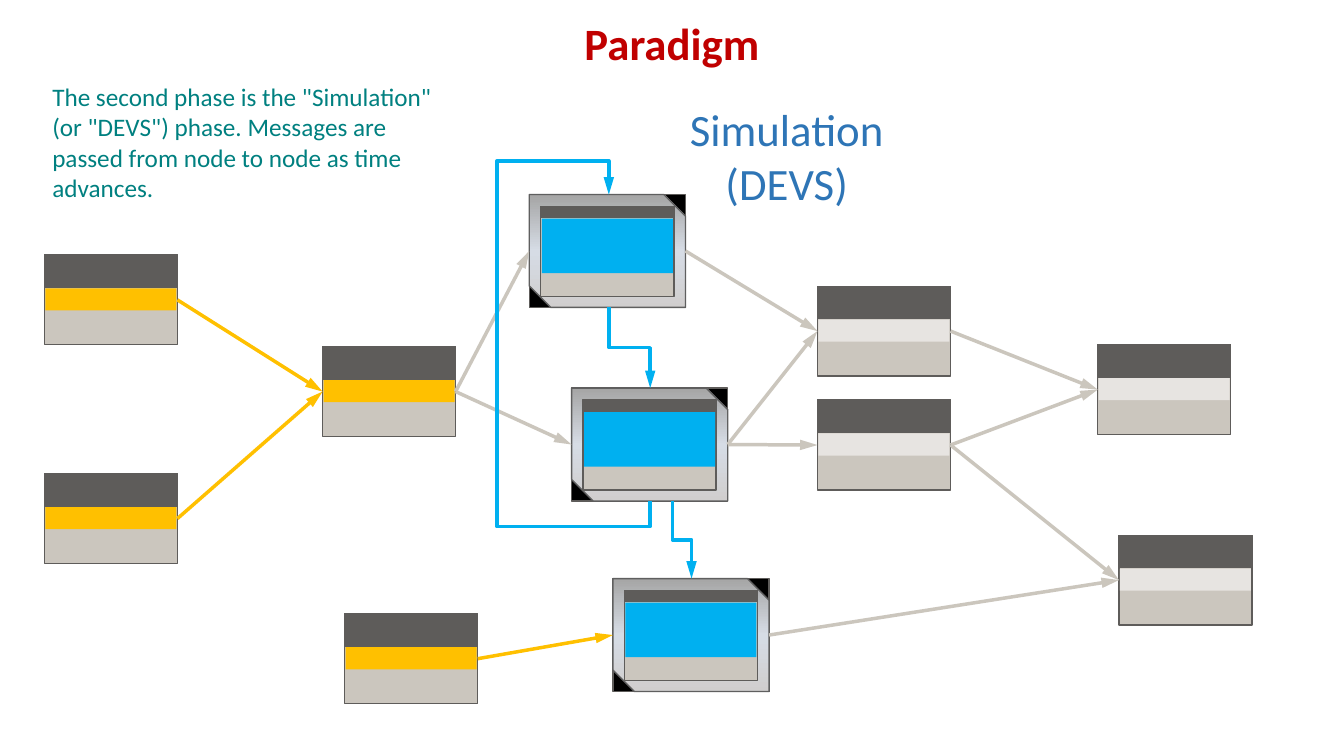
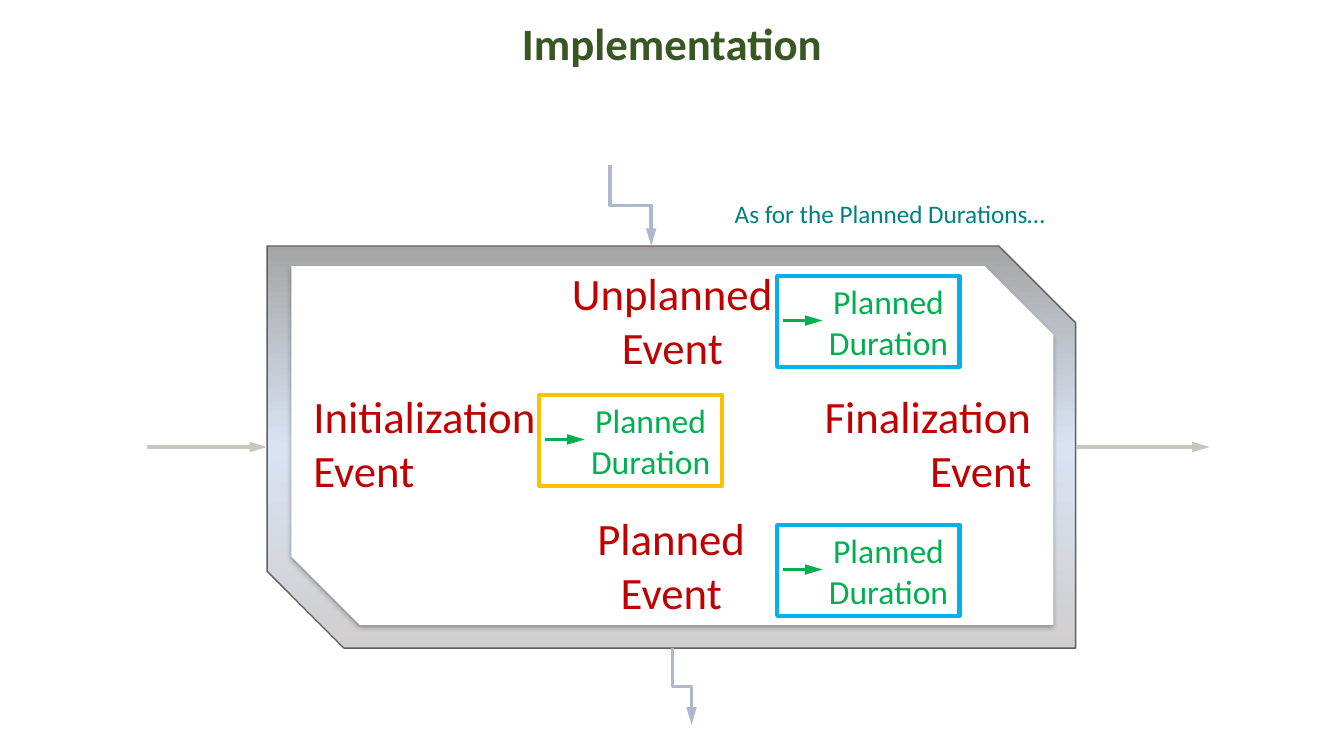
from copy import deepcopy

from lxml import etree
from pptx import Presentation
from pptx.dml.color import RGBColor
from pptx.enum.shapes import MSO_CONNECTOR, MSO_SHAPE
from pptx.enum.text import MSO_ANCHOR, MSO_AUTO_SIZE, PP_ALIGN
from pptx.oxml.ns import qn
from pptx.util import Inches, Pt

CELL = Inches(0.1)
COLUMNS, ROWS = 133.33, 75
FONT = "Calibri"

RECT, SNIPPED = MSO_SHAPE.RECTANGLE, MSO_SHAPE.SNIP_2_DIAG_RECTANGLE
STRAIGHT, ELBOW = MSO_CONNECTOR.STRAIGHT, MSO_CONNECTOR.ELBOW
LEFT, CENTER, RIGHT = PP_ALIGN.LEFT, PP_ALIGN.CENTER, PP_ALIGN.RIGHT
BOTTOM, MIDDLE = MSO_ANCHOR.BOTTOM, MSO_ANCHOR.MIDDLE
FIXED, GROW = MSO_AUTO_SIZE.NONE, MSO_AUTO_SIZE.SHAPE_TO_FIT_TEXT
LEFT_SIDE, RIGHT_SIDE = 1, 3

WHITE = RGBColor(0xFF, 0xFF, 0xFF)
BLACK = RGBColor(0x00, 0x00, 0x00)
RED = RGBColor(0xC0, 0x00, 0x00)
DARK_GREEN = RGBColor(0x38, 0x57, 0x23)
GREEN = RGBColor(0x00, 0xB0, 0x50)
TEAL = RGBColor(0x00, 0x80, 0x80)
BLUE = RGBColor(0x2E, 0x75, 0xB6)
SKY = RGBColor(0x00, 0xB0, 0xF0)
GOLD = RGBColor(0xFF, 0xC0, 0x00)
SLATE = RGBColor(0xAD, 0xB9, 0xCA)
CHARCOAL = RGBColor(0x5E, 0x5C, 0x5A)
RIM = RGBColor(0x5F, 0x5F, 0x5F)
STONE = RGBColor(0xCB, 0xC6, 0xBE)
PATH_GRAY = RGBColor(0xCB, 0xC6, 0xBD)
PALE = RGBColor(0xE7, 0xE4, 0xE1)
STEEL_LOW = RGBColor(0xD0, 0xCE, 0xCE)
STEEL_HIGH = RGBColor(0xA5, 0xA5, 0xA5)
STEEL_MIST = RGBColor(0xD6, 0xDC, 0xE5)
STEEL_SKY = RGBColor(0xDA, 0xE3, 0xF3)


def emu(*cells):
    return [round(cell * CELL) for cell in cells]


class Deck:
    def __init__(self):
        self.prs = Presentation()
        self.prs.slide_width, self.prs.slide_height = emu(COLUMNS, ROWS)

    def start_slide(self, title, color):
        slide = self.prs.slides.add_slide(self.prs.slide_layouts[5])
        self.shapes = slide.shapes
        heading = self.shapes.title
        heading.left, heading.top, heading.width, heading.height = emu(0, 1.6, COLUMNS, 5.9)
        frame = heading.text_frame
        frame.auto_size = FIXED
        frame.vertical_anchor = BOTTOM
        self.fill_text(frame, title, 32, color, CENTER)
        frame.paragraphs[0].font.bold = True
        frame.paragraphs[0].line_spacing = 0.9

    def fill_text(self, frame, text, size, color, align):
        frame.word_wrap = True
        frame.text = text
        for paragraph in frame.paragraphs:
            paragraph.alignment = align
            paragraph.font.name = FONT
            paragraph.font.size = Pt(size)
            paragraph.font.color.rgb = color

    def text(self, left, top, width, height, text, size, color, align=LEFT):
        box = self.shapes.add_textbox(*emu(left, top, width, height))
        box.text_frame.auto_size = GROW
        self.fill_text(box.text_frame, text, size, color, align)

    def shape(self, left, top, width, height, fill=None, line=None, weight=1, kind=RECT):
        shape = self.shapes.add_shape(kind, *emu(left, top, width, height))
        shape.shadow.inherit = False
        if fill is None:
            shape.fill.background()
        else:
            shape.fill.solid()
            shape.fill.fore_color.rgb = fill
        if line is None:
            shape.line.fill.background()
        else:
            shape.line.color.rgb = line
            shape.line.width = Pt(weight)
        if kind == SNIPPED:
            shape.adjustments[0] = 0
            shape.adjustments[1] = 0.191
        return shape

    def steel_frame(self, left, top, width, height, back, edge, middle):
        backing = self.shape(left, top, width, height, back, edge)
        steel = self.shape(left, top, width, height, STEEL_LOW, RIM, kind=SNIPPED)
        steel.fill.gradient()
        steel.fill.gradient_angle = 90
        stops = next(steel.element.spPr.iter(qn("a:gsLst")))
        stops.insert(1, deepcopy(stops[0]))
        for stop, position, color in zip(
            steel.fill.gradient_stops, (0, 0.5, 1), (STEEL_LOW, middle, STEEL_HIGH)
        ):
            stop.position = position
            stop.color.rgb = color
        return backing

    def card(self, left, top, color, header=3.2, band=2.2):
        body = self.shape(left, top, 13.2, 8.9, STONE, CHARCOAL)
        self.shape(left + 0.1, top + header + 0.1, 13, band, color)
        self.shape(left, top, 13.2, header, CHARCOAL, CHARCOAL)
        return body

    def activity(self, left, top):
        backing = self.steel_frame(left, top, 15.5, 11.2, BLACK, CHARCOAL, STEEL_MIST)
        self.card(left + 1.15, top + 1.2, SKY, header=1.1, band=5.4)
        return backing

    def panel(self, left, top, width, height):
        panel = self.shape(left, top, width, height, WHITE, kind=SNIPPED)
        effects = panel.element.spPr.find(qn("a:effectLst"))
        shadow = etree.SubElement(
            effects, qn("a:outerShdw"), blurRad=str(Pt(3.5)), dist=str(Pt(2.2)), dir="5400000"
        )
        tint = etree.SubElement(shadow, qn("a:srgbClr"), val=str(BLACK))
        etree.SubElement(tint, qn("a:alpha"), val="32000")

    def style_arrow(self, arrow, color):
        arrow.line.color.rgb = color
        arrow.line.width = Pt(2.5)
        properties = arrow.element.spPr
        line = properties.find(qn("a:ln"))
        etree.SubElement(line, qn("a:tailEnd"), type="triangle", w="med", len="lg")
        etree.SubElement(properties, qn("a:effectLst"))

    def arrow(self, color, start=(0, 0), end=(0, 0), source=None, target=None):
        arrow = self.shapes.add_connector(STRAIGHT, *emu(*start, *end))
        if source is not None:
            arrow.begin_connect(source, RIGHT_SIDE)
        if target is not None:
            arrow.end_connect(target, LEFT_SIDE)
        self.style_arrow(arrow, color)

    def bent_arrow(self, color, start, end, bends=(0.5,)):
        (x1, y1), (x2, y2) = start, end
        middle_x, middle_y = (x1 + x2) / 2, (y1 + y2) / 2
        reach, rise = abs(y2 - y1) / 2, abs(x2 - x1) / 2
        arrow = self.shapes.add_connector(
            ELBOW, *emu(middle_x + reach, middle_y - rise, middle_x - reach, middle_y + rise)
        )
        properties = arrow.element.spPr
        properties.find(qn("a:xfrm")).set("rot", "16200000" if y2 > y1 else "5400000")
        geometry = properties.find(qn("a:prstGeom"))
        geometry.set("prst", f"bentConnector{len(bends) + 2}")
        guides = geometry.find(qn("a:avLst"))
        for number, bend in enumerate(bends, 1):
            etree.SubElement(
                guides, qn("a:gd"), name=f"adj{number}", fmla=f"val {round(bend * 100000)}"
            )
        self.style_arrow(arrow, color)

    def duration(self, left, top, color):
        box = self.shape(left, top, 18.1, 9, line=color, weight=3)
        frame = box.text_frame
        frame.vertical_anchor = MIDDLE
        frame.margin_left, frame.margin_right = emu(4, 0)
        self.fill_text(frame, "Planned\nDuration", 24, GREEN, CENTER)
        self.arrow(GREEN, (left + 0.6, top + 4.4), (left + 4.5, top + 4.4))


def paradigm(deck):
    deck.start_slide("Paradigm", RED)
    deck.text(4.2, 7.6, 42.5, 13.1,
              'The second phase is the "Simulation" (or "DEVS") phase. Messages are '
              "passed from node to node as time advances.", 18, TEAL)
    deck.text(61.1, 9.6, 33.9, 11.8, "Simulation\n(DEVS)", 32, BLUE, CENTER)

    first, second, merge, late = [
        deck.card(left, top, GOLD)
        for left, top in ((4.4, 25.3), (4.4, 47), (32, 34.4), (34.2, 60.9))
    ]
    upper, lower, result, final = [
        deck.card(left, top, PALE)
        for left, top in ((81.1, 28.4), (81.1, 39.7), (108.9, 34.2), (111, 53.1))
    ]
    begin, work, finish = [
        deck.activity(left, top) for left, top in ((52.5, 19.3), (56.7, 38.5), (60.8, 57.4))
    ]

    for source, target in ((first, merge), (second, merge), (late, finish)):
        deck.arrow(GOLD, source=source, target=target)
    for source, target in (
        (merge, begin), (merge, work), (begin, upper), (work, upper), (work, lower),
        (upper, result), (lower, result), (lower, final), (finish, final),
    ):
        deck.arrow(PATH_GRAY, source=source, target=target)

    deck.bent_arrow(SKY, (60.4, 30.5), (64.5, 38.5))
    deck.bent_arrow(SKY, (66.7, 49.7), (68.6, 57.4))
    deck.bent_arrow(SKY, (64.5, 49.7), (60.4, 19.3), (-0.084, 3.705, 1.11))


def implementation(deck):
    deck.start_slide("Implementation", DARK_GREEN)
    deck.text(71.9, 19.2, 59.9, 4, "As for the Planned Durations…", 18, TEAL)

    node = deck.steel_frame(26.5, 24.4, 80.2, 39.9, WHITE, WHITE, STEEL_SKY)
    deck.panel(28.9, 26.4, 75.6, 35.6)
    deck.arrow(PATH_GRAY, start=(14.6, 44.35), target=node)
    deck.arrow(PATH_GRAY, end=(120, 44.35), source=node)
    deck.bent_arrow(SLATE, (60.5, 16.4), (64.6, 24.4))
    deck.bent_arrow(SLATE, (66.7, 64.3), (68.6, 71.9))

    for event, left, top, align in (
        ("Initialization", 30.1, 38.1, LEFT),
        ("Unplanned", 50.2, 25.9, CENTER),
        ("Planned", 50.1, 50.2, CENTER),
        ("Finalization", 70.3, 38.1, RIGHT),
    ):
        deck.text(left, top, 33, 11.8, f"{event}\nEvent", 32, RED, align)

    for left, top, color in ((77.1, 27.4, SKY), (77.1, 52.1, SKY), (53.5, 39.2, GOLD)):
        deck.duration(left, top, color)


def main():
    deck = Deck()
    paradigm(deck)
    implementation(deck)
    deck.prs.save("out.pptx")


if __name__ == "__main__":
    main()
